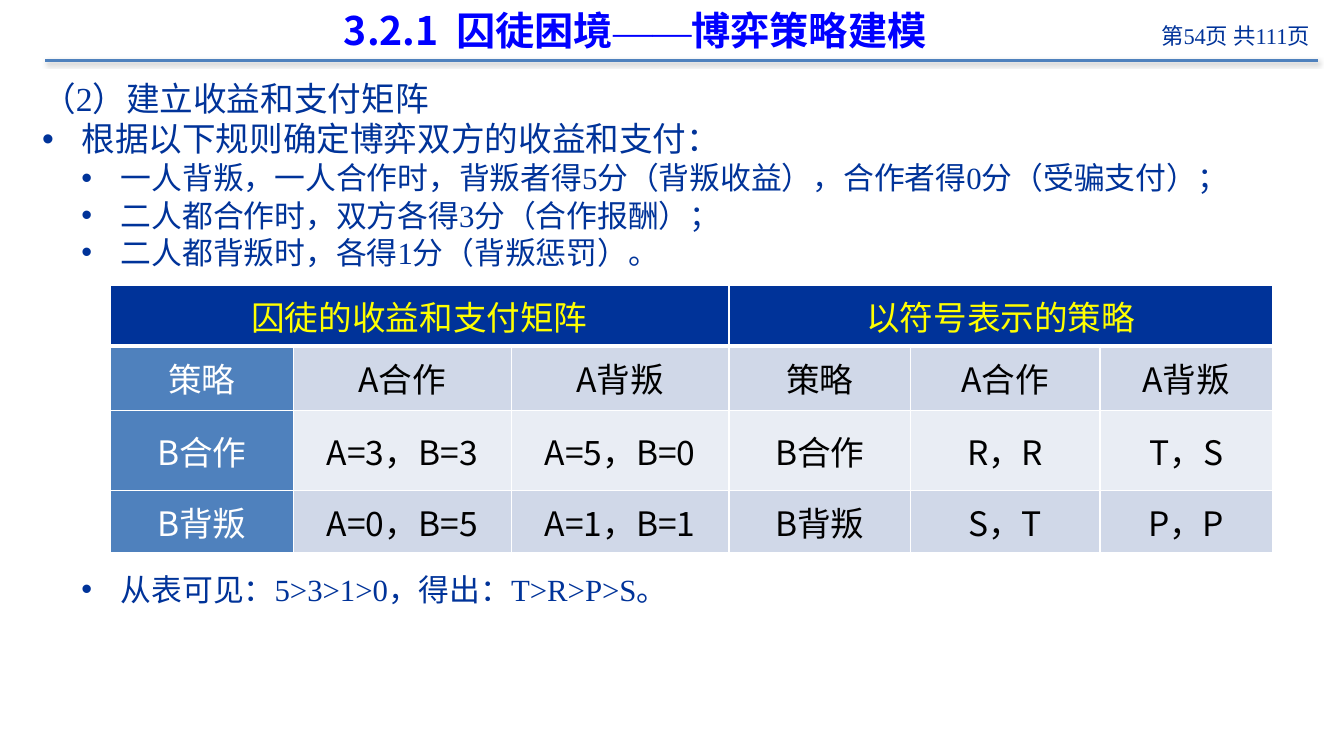
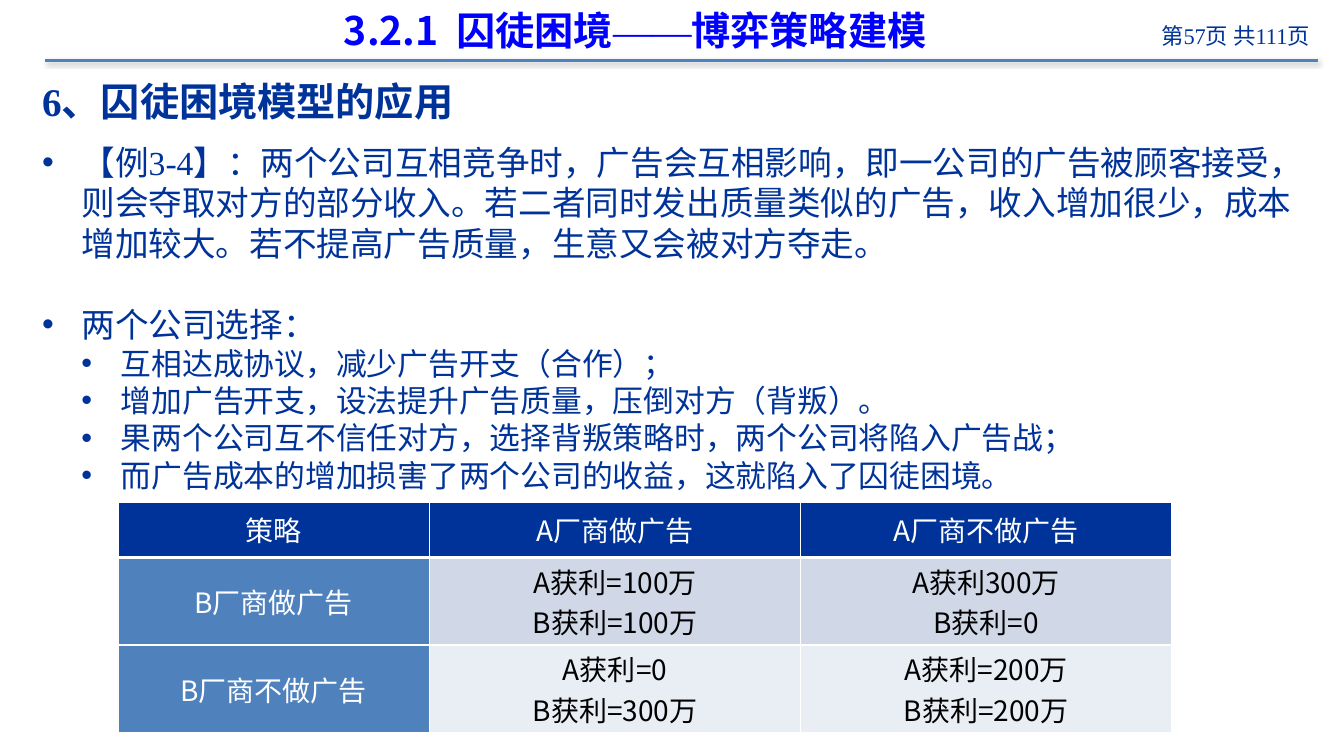
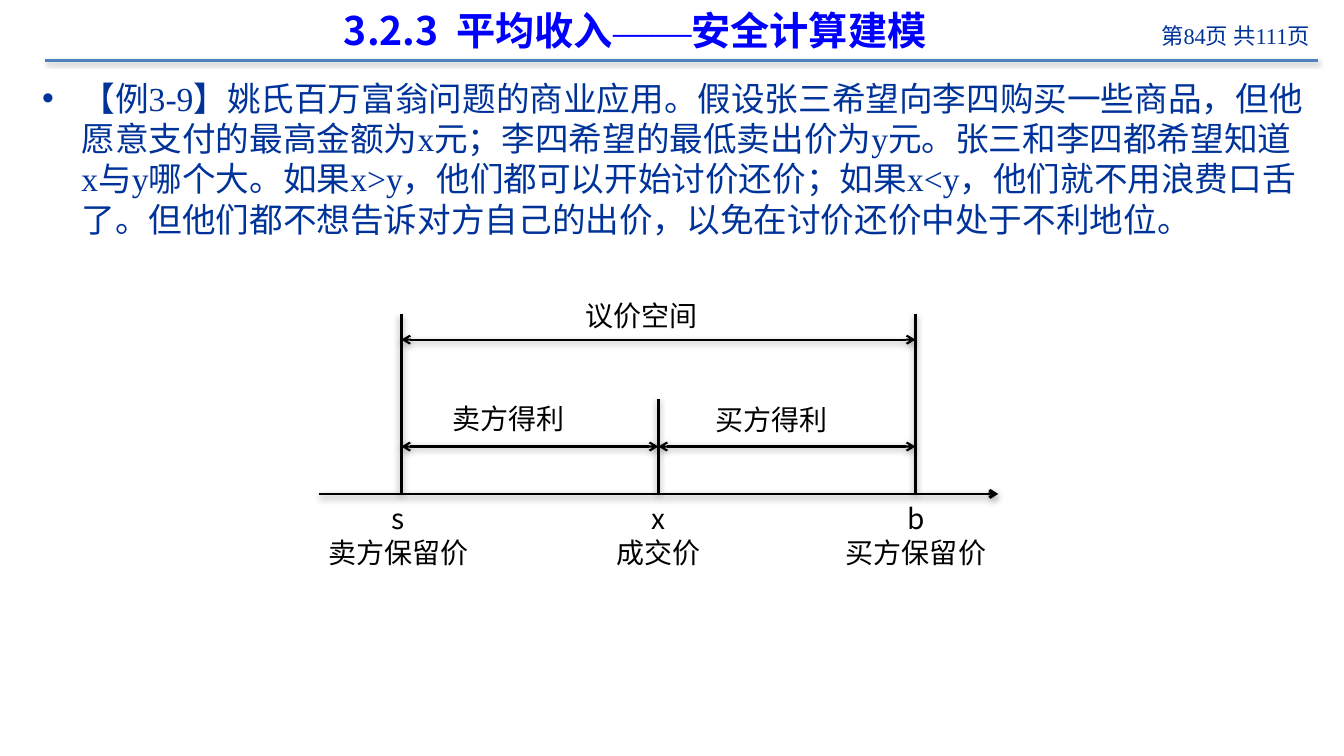
"""Build three slides on game strategy and secure computation models."""
from lxml.etree import SubElement
from pptx import Presentation
from pptx.dml.color import RGBColor
from pptx.enum.shapes import MSO_CONNECTOR
from pptx.enum.text import MSO_ANCHOR, MSO_AUTO_SIZE, PP_ALIGN
from pptx.oxml.ns import qn
from pptx.util import Pt

PX = 9144
SANS, SERIF = "Noto Sans CJK SC", "Times New Roman"
HUE = dict(navy="003399", blue="0000FF", steel="4F81BD", pale="D0D8E8", mist="E9EDF4",
           gold="FFFF00", white="FFFFFF", black="000000")
LEFT, MID, RIGHT = PP_ALIGN.LEFT, PP_ALIGN.CENTER, PP_ALIGN.RIGHT
PAGES = 111

HEADS = [
    (54, "3.2.1  囚徒困境", "博弈策略建模"),
    (57, "3.2.1  囚徒困境", "博弈策略建模"),
    (84, "3.2.3  平均收入", "安全计算建模"),
]

KINDS = {
    "head": dict(size=28, bold=True, level=0),
    "plain": dict(size=24, level=0),
    "main": dict(size=24, level=1),
    "sub": dict(size=22, level=2),
}
BODIES = [
    [
        ("plain", 0, "（2）建立收益和支付矩阵"),
        ("main", 0.3, "根据以下规则确定博弈双方的收益和支付："),
        ("sub", 0.3, "一人背叛，一人合作时，背叛者得5分（背叛收益），合作者得0分（受骗支付）；"),
        ("sub", 0.3, "二人都合作时，双方各得3分（合作报酬）；"),
        ("sub", 0.3, "二人都背叛时，各得1分（背叛惩罚）。"),
        ("sub", 214, "从表可见：5>3>1>0，得出：T>R>P>S。"),
    ],
    [
        ("head", 0, "6、囚徒困境模型的应用"),
        ("main", 12.5, "【例3-4】：两个公司互相竞争时，广告会互相影响，即一公司的广告被顾客接受，"
         "则会夺取对方的部分收入。若二者同时发出质量类似的广告，收入增加很少，成本增加较大。"
         "若不提高广告质量，生意又会被对方夺走。"),
        ("main", 29, "两个公司选择："),
        ("sub", 0.3, "互相达成协议，减少广告开支（合作）；"),
        ("sub", 0.3, "增加广告开支，设法提升广告质量，压倒对方（背叛）。"),
        ("sub", 0.3, "果两个公司互不信任对方，选择背叛策略时，两个公司将陷入广告战；"),
        ("sub", 0.3, "而广告成本的增加损害了两个公司的收益，这就陷入了囚徒困境。"),
    ],
    [
        ("main", 0, "【例3-9】姚氏百万富翁问题的商业应用。假设张三希望向李四购买一些商品，"
         "但他愿意支付的最高金额为x元；李四希望的最低卖出价为y元。张三和李四都希望知道x与y哪个大。"
         "如果x>y，他们都可以开始讨价还价；如果x<y，他们就不用浪费口舌了。"
         "但他们都不想告诉对方自己的出价，以免在讨价还价中处于不利地位。"),
    ],
]

MATRIX = dict(
    at=(109, 283), cols=[182, 216, 216, 180, 188, 171], rows=[60, 64, 80, 61],
    size=24, head="gold", spans=[(0, 2), (3, 5)],
    cells=[
        ["囚徒的收益和支付矩阵", "", "", "以符号表示的策略", "", ""],
        ["策略", "A合作", "A背叛", "策略", "A合作", "A背叛"],
        ["B合作", "A=3，B=3", "A=5，B=0", "B合作", "R，R", "T，S"],
        ["B背叛", "A=0，B=5", "A=1，B=1", "B背叛", "S，T", "P，P"],
    ])
ADS = dict(
    at=(117, 498), cols=[309, 368, 368], rows=[55, 87, 87],
    size=20, head="white", spans=[],
    cells=[
        ["策略", "A厂商做广告", "A厂商不做广告"],
        ["B厂商做广告", "A获利=100万\nB获利=100万", "A获利300万\nB获利=0"],
        ["B厂商不做广告", "A获利=0\nB获利=300万", "A获利=200万\nB获利=200万"],
    ])

SELL, DEAL, BUY, AXIS = 398, 653, 908, 490
POSTS = [(BUY, 312), (SELL, 312), (DEAL, 396)]
SPANS = [(SELL, BUY, 337), (SELL, DEAL, 443), (DEAL, BUY, 443)]
NOTES = [
    ((808, 493, 201, 84), MID, ["b", "买方保留价"]),
    ((589, 493, 129, 84), MID, ["x", "成交价"]),
    ((290, 493, 210, 84), MID, ["s", "卖方保留价"]),
    ((700, 394, 173, 47), LEFT, ["买方得利"]),
    ((439, 393, 173, 47), LEFT, ["卖方得利"]),
    ((571, 291, 173, 47), LEFT, ["议价空间"]),
]


def rgb(name):
    return RGBColor.from_string(HUE[name])


def node(parent, tag, **attrs):
    return SubElement(parent, qn("a:" + tag), {k: str(v) for k, v in attrs.items()})


def write(para, text, size, hue, face=SANS, bold=False):
    run = para.add_run()
    run.text = text
    font = run.font
    font.size, font.bold, font.name = Pt(size), bold, face
    font.color.rgb = rgb(hue)
    east = SANS if "——" not in text or len(text) > 2 else face
    node(run._r.get_or_add_rPr(), "ea", typeface=east)


def place(shape, box):
    shape.left, shape.top, shape.width, shape.height = (v * PX for v in box)


def frame(slide, box):
    text = slide.shapes.add_textbox(*(v * PX for v in box)).text_frame
    text.word_wrap = True
    return text


def next_para(text, index):
    return text.add_paragraph() if index else text.paragraphs[0]


def set_para(para, size, align=LEFT, gap=0):
    para.alignment, para.line_spacing = align, Pt(round(size * 1.2, 1))
    if gap:
        para.space_before = Pt(gap)


def rule(slide, start, end, weight, hue="black", blur=5, ends=""):
    line = slide.shapes.add_connector(
        MSO_CONNECTOR.STRAIGHT, *(v * PX for v in start + end))
    line.line.width = Pt(weight)
    line.line.color.rgb = rgb(hue)
    for tag in ends.split():
        node(line.line._get_or_add_ln(), tag, type="arrow")
    fx = node(line._element.spPr, "effectLst")
    cast = node(fx, "outerShdw", blurRad=Pt(blur), dist=Pt(1.6), dir=5400000, rotWithShape=0)
    node(node(cast, "srgbClr", val=HUE["black"]), "alpha", val=38000)


def add_head(slide, page, topic, theme):
    rule(slide, (45, 60), (1307, 60), 2, "steel", 3.1)
    para = frame(slide, (1083, 17, 226, 45)).paragraphs[0]
    set_para(para, 16, RIGHT)
    write(para, f"第{page}页 共{PAGES}页", 16, "navy", SERIF)
    title = slide.shapes.title
    place(title, (77, 2, 1106, 56))
    text = title.text_frame
    text.auto_size, text.vertical_anchor = MSO_AUTO_SIZE.NONE, MSO_ANCHOR.MIDDLE
    text.margin_top = text.margin_bottom = 0
    para = text.paragraphs[0]
    para.alignment = MID
    write(para, topic, 28, "blue", bold=True)
    write(para, "——", 28, "blue", SERIF)
    write(para, theme, 28, "blue", bold=True)


def add_body(slide, items):
    text = frame(slide, (32, 72, 1274, 656))
    for i, (kind, gap, words) in enumerate(items):
        look = KINDS[kind]
        para = next_para(text, i)
        set_para(para, look["size"], gap=gap)
        props = para._p.get_or_add_pPr()
        props.set("hangingPunct", "1")
        if look["level"]:
            props.set("marL", str(look["level"] * 39 * PX))
            props.set("indent", str(-39 * PX))
            node(props, "buFont", typeface="Arial")
            node(props, "buChar", char="•")
        write(para, words, look["size"], "navy", SERIF, look.get("bold", False))


def add_edges(cell, top):
    props = cell._tc.get_or_add_tcPr()
    for i, side in enumerate("LRTB"):
        wide = 3 if top and side == "B" else 1
        edge = node(props, "ln" + side, w=Pt(wide))
        node(node(edge, "solidFill"), "srgbClr", val=HUE["white"])
        props.insert(i, edge)


def cell_look(row, col, head):
    if row == 0:
        return "navy", head
    if col == 0:
        return "steel", "white"
    return ("pale" if row % 2 else "mist"), "black"


def add_grid(slide, data):
    cols, rows = data["cols"], data["rows"]
    box = data["at"] + (sum(cols), sum(rows))
    grid = slide.shapes.add_table(len(rows), len(cols), *(v * PX for v in box)).table
    for col, width in zip(grid.columns, cols):
        col.width = width * PX
    for row, height in zip(grid.rows, rows):
        row.height = height * PX
    for first, last in data["spans"]:
        grid.cell(0, first).merge(grid.cell(0, last))
    for r, line in enumerate(data["cells"]):
        for c, words in enumerate(line):
            cell = grid.cell(r, c)
            fill, ink = cell_look(r, c, data["head"])
            cell.fill.solid()
            cell.fill.fore_color.rgb = rgb(fill)
            cell.vertical_anchor = MSO_ANCHOR.MIDDLE
            cell.margin_left = cell.margin_right = 7 * PX
            cell.margin_top = cell.margin_bottom = 0
            add_edges(cell, r == 0)
            for i, part in enumerate(words.split("\n") if words else []):
                para = next_para(cell.text_frame, i)
                para.alignment = MID
                write(para, part, data["size"], ink)


def add_axis(slide):
    rule(slide, (316, AXIS), (990, AXIS), 2, ends="tailEnd")
    for x, top in POSTS:
        rule(slide, (x, top), (x, AXIS), 2)
    for left, right, y in SPANS:
        rule(slide, (left, y), (right, y), 1.5, ends="headEnd tailEnd")
    for box, align, lines in NOTES:
        text = frame(slide, box)
        for i, words in enumerate(lines):
            para = next_para(text, i)
            set_para(para, 20, align)
            write(para, words, 20, "black")


def main():
    deck = Presentation()
    deck.slide_width, deck.slide_height = 1333 * PX, 750 * PX
    slides = []
    for head, body in zip(HEADS, BODIES):
        slide = deck.slides.add_slide(deck.slide_layouts[5])
        add_head(slide, *head)
        add_body(slide, body)
        slides.append(slide)
    add_grid(slides[0], MATRIX)
    add_grid(slides[1], ADS)
    add_axis(slides[2])
    deck.save("out.pptx")


if __name__ == "__main__":
    main()
